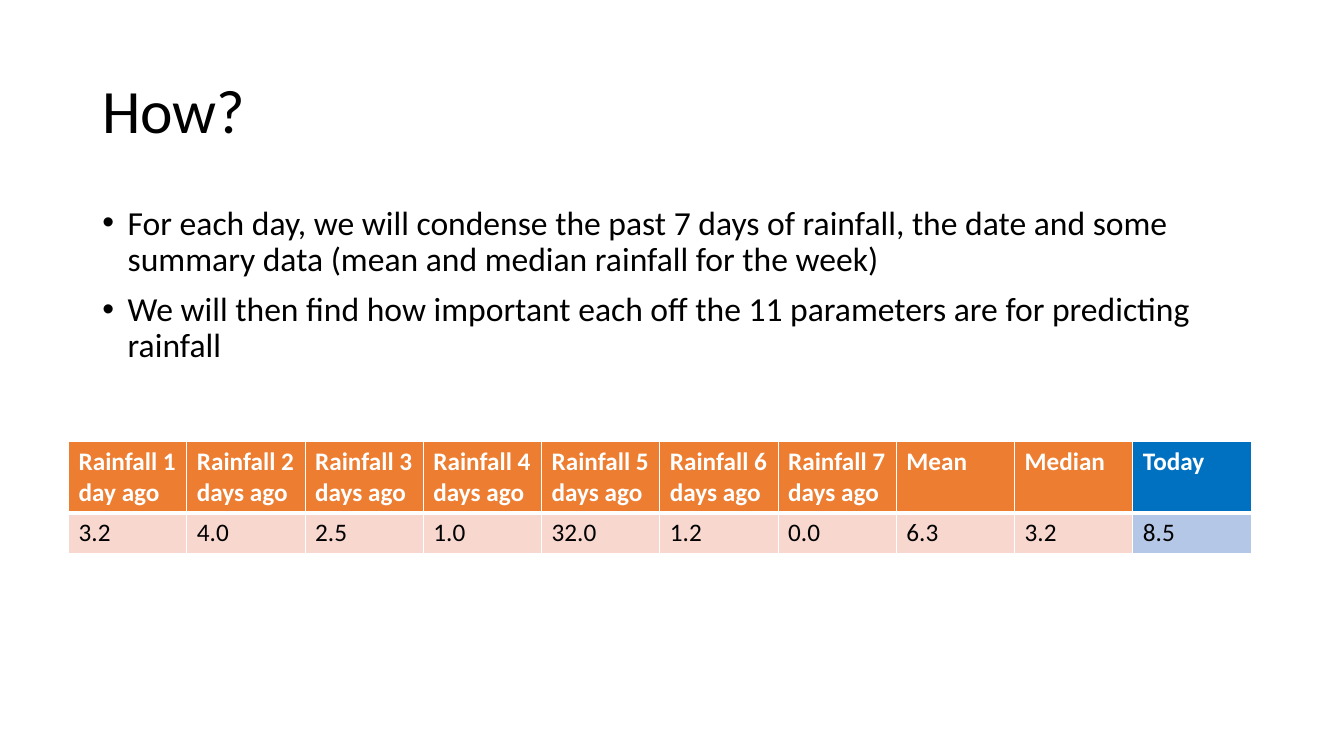
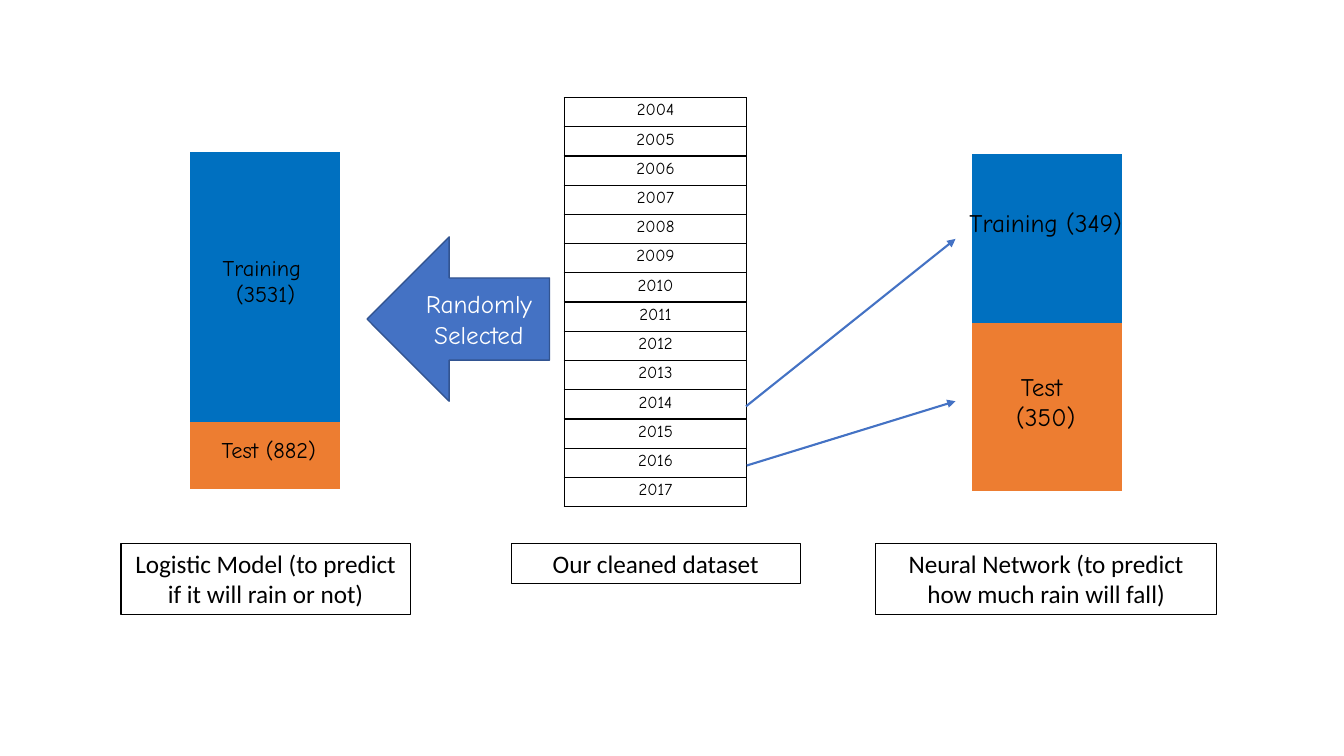
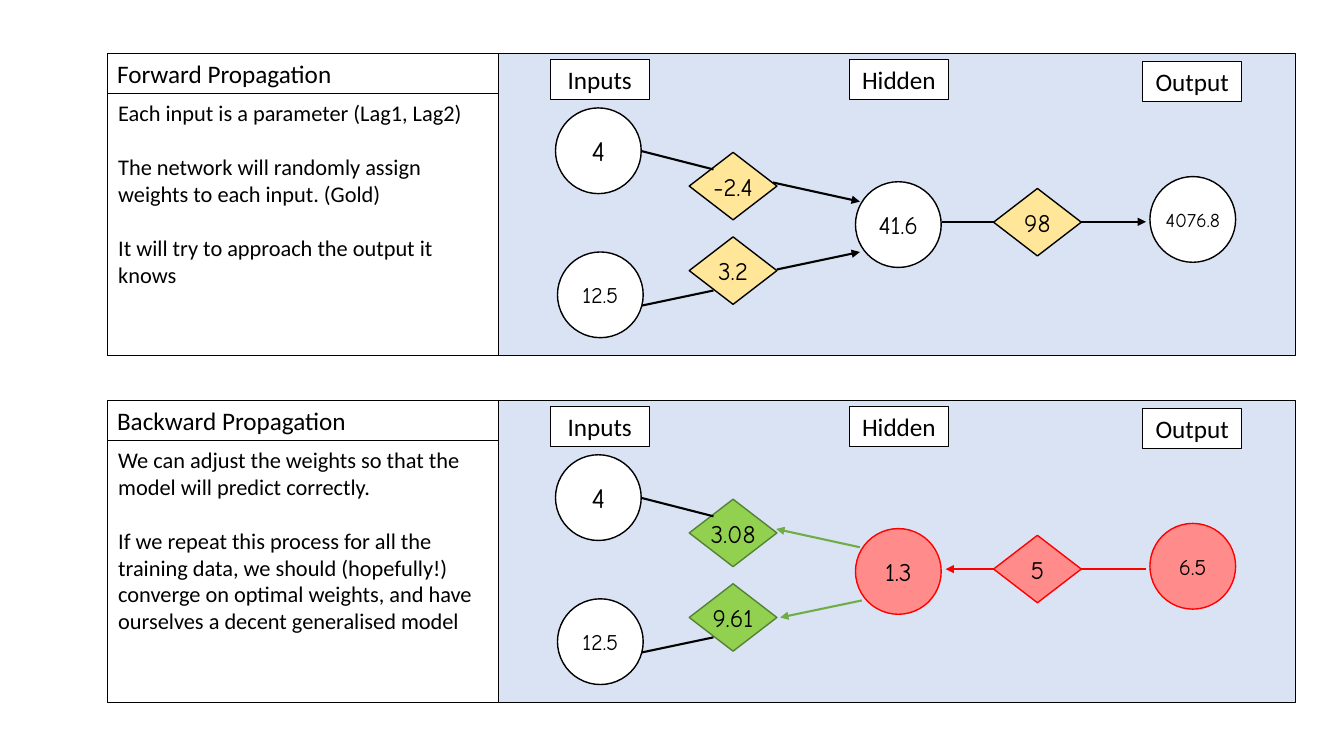
import pptx
import pptx.util
import pptx.dml.color
import pptx.enum.shapes
import pptx.enum.text
import pptx.oxml.ns
from lxml import etree

Cm, Pt = pptx.util.Cm, pptx.util.Pt
Shape = pptx.enum.shapes.MSO_SHAPE
Align = pptx.enum.text.PP_ALIGN
Anchor = pptx.enum.text.MSO_ANCHOR
qn = pptx.oxml.ns.qn


class Theme:
    body, hand = "Calibri", "Comic Neue"
    black, white = "000000", "FFFFFF"
    blue, pale_blue = "0070C0", "B4C7E7"
    orange, pale_orange = "ED7D31", "F8D7CE"
    arrow, arrow_edge = "4472C4", "325491"
    panel, gold = "DAE3F3", "FFE699"
    red, pale_red = "FF0000", "FF8B8B"
    green, green_edge, green_link = "92D050", "548235", "70AD47"
    title, bullet, large, normal, note, small, tiny = 44, 24, 20, 18, 16, 14, 12
    thin, edge, link = 0.75, 1, 1.5
    plain_table = "{2D5ABB26-0587-4C30-8999-92F81FD0307C}"


# Content: lengths are centimetres
TITLE = "How?"
BULLETS = [
    "For each day, we will condense the past 7 days of rainfall, the date and "
    "some summary data (mean and median rainfall for the week)",
    "We will then find how important each off the 11 parameters are for "
    "predicting rainfall",
]
RAIN_HEADS = [f"Rainfall {day} day{'s' if day > 1 else ''} ago" for day in range(1, 8)]
RAIN_HEADS += ["Mean", "Median", "Today"]
RAIN_VALUES = ["3.2", "4.0", "2.5", "1.0", "32.0", "1.2", "0.0", "6.3", "3.2", "8.5"]

YEARS = [str(year) for year in range(2004, 2018)]
SPLITS = [  # left, top, training rows out of ten
    (4.8, 3.84, 8),
    (24.49, 3.89, 5),
]
SPLIT_LABELS = [  # lines, left, top, size
    (["Training ", "(3531)"], 4.42, 6.27, Theme.note),
    (["Test (882)"], 4.5, 10.87, Theme.note),
    (["Training (349)"], 24.08, 5.11, Theme.normal),
    (["Test ", "(350)"], 24.08, 9.22, Theme.normal),
]
SPLIT_ARROWS = [(18.8, 10.24, 24.08, 6.02), (18.82, 11.73, 24.08, 10.11)]
CAPTIONS = [  # text, left, width, height
    ("Logistic Model (to predict if it will rain or not)", 3.05, 7.29, 1.8),
    ("Neural Network (to predict how much rain will fall)", 22.07, 8.59, 1.8),
    ("Our cleaned dataset", 12.88, 7.29, 1.02),
]

# Network geometry, measured down from the top of its panel
TAGS = [("Inputs", 13.87, 0.15), ("Hidden", 21.41, 0.15), ("Output", 28.8, 0.2)]
NODE_SPOTS = [(14, 1.37), (14.05, 5), (21.56, 3.23), (28.98, 3.1)]
WEIGHT_SPOTS = [(17.37, 2.49), (17.37, 4.62), (25.04, 3.4)]
INPUT_LINKS = [
    (16.18, 2.46, 17.98, 2.92, Theme.black, False),
    (16.18, 6.35, 17.98, 5.97, Theme.black, False),
]
WHITE_LOOK = (Theme.white, Theme.black)
GOLD_LOOK = (Theme.gold, Theme.black)
RED_LOOK = (Theme.pale_red, Theme.red)
GREEN_LOOK = (Theme.green, Theme.green_edge)
INPUT_NODES = [("4", Theme.large, WHITE_LOOK), ("12.5", Theme.note, WHITE_LOOK)]
PANELS = [
    {
        "top": 1.35,
        "heading": "Forward Propagation",
        "notes": [
            "Each input is a parameter (Lag1, Lag2)",
            "The network will randomly assign weights to each input. (Gold)",
            "It will try to approach the output it knows",
        ],
        "nodes": [("41.6", Theme.normal, WHITE_LOOK), ("4076.8", Theme.small, WHITE_LOOK)],
        "weights": [("-2.4", GOLD_LOOK), ("3.2", GOLD_LOOK), ("98", GOLD_LOOK)],
        "links": [
            (19.48, 3.25, 21.67, 3.73, Theme.black, True),
            (19.58, 5.44, 21.67, 5, Theme.black, True),
            (23.75, 4.24, 25.04, 4.24, Theme.black, False),
            (27.25, 4.24, 28.88, 4.24, Theme.black, True),
        ],
    },
    {
        "top": 10.09,
        "heading": "Backward Propagation",
        "notes": [
            "We can adjust the weights so that the model will predict correctly.",
            "If we repeat this process for all the training data, we should "
            "(hopefully!) converge on optimal weights, and have ourselves a "
            "decent generalised model",
        ],
        "nodes": [("1.3", Theme.normal, RED_LOOK), ("6.5", Theme.note, RED_LOOK)],
        "weights": [("3.08", GREEN_LOOK), ("9.61", GREEN_LOOK), ("5", RED_LOOK)],
        "links": [
            (21.67, 3.7, 19.56, 3.24, Theme.green_link, True),
            (21.72, 5.04, 19.66, 5.47, Theme.green_link, True),
            (27.25, 4.25, 28.88, 4.25, Theme.red, False),
            (25.04, 4.25, 23.83, 4.25, Theme.red, True),
        ],
    },
]


# Shared helpers
def rgb(color):
    return pptx.dml.color.RGBColor.from_string(color)


def write_text(frame, lines, size=Theme.normal, font=Theme.body, color=Theme.black,
               bold=False, align=Align.LEFT, anchor=Anchor.TOP, wrap=True,
               line_spacing=None, before=0, gap=0, bullet=False):
    """Fill a text frame; gap is the space between paragraphs in points."""
    frame.word_wrap = wrap
    frame.vertical_anchor = anchor
    for index, line in enumerate(lines):
        para = frame.add_paragraph() if index else frame.paragraphs[0]
        para.alignment = align
        para.space_before = Pt(before + (gap if index else 0))
        if line_spacing:
            para.line_spacing = line_spacing
        if bullet:
            props = para._p.get_or_add_pPr()
            props.set("marL", str(Cm(0.64)))
            props.set("indent", str(-Cm(0.64)))
            etree.SubElement(props, qn("a:buFont")).set("typeface", "Arial")
            etree.SubElement(props, qn("a:buChar")).set("char", "•")
        span = para.add_run()
        span.text = line
        span.font.name, span.font.size, span.font.bold = font, Pt(size), bold
        span.font.color.rgb = rgb(color)


def add_text(page, lines, left, top, width, height, **style):
    box = page.shapes.add_textbox(Cm(left), Cm(top), Cm(width), Cm(height))
    write_text(box.text_frame, lines, **style)


def add_shape(page, kind, left, top, width, height, fill=None,
              line=Theme.black, weight=Theme.thin):
    shape = page.shapes.add_shape(kind, Cm(left), Cm(top), Cm(width), Cm(height))
    shape.shadow.inherit = False
    if fill:
        shape.fill.solid()
        shape.fill.fore_color.rgb = rgb(fill)
    else:
        shape.fill.background()
    shape.line.color.rgb = rgb(line)
    shape.line.width = Pt(weight)
    return shape


def add_link(page, x1, y1, x2, y2, color, arrow):
    link = page.shapes.add_connector(
        pptx.enum.shapes.MSO_CONNECTOR.STRAIGHT, Cm(x1), Cm(y1), Cm(x2), Cm(y2))
    link.line.color.rgb = rgb(color)
    link.line.width = Pt(Theme.link)
    props = link.element.spPr
    if arrow:
        etree.SubElement(props.find(qn("a:ln")), qn("a:tailEnd")).set("type", "triangle")
    etree.SubElement(props, qn("a:effectLst"))


def add_table(page, rows, columns, left, top, width, height):
    frame = page.shapes.add_table(rows, columns, Cm(left), Cm(top), Cm(width), Cm(height))
    frame.table.first_row = frame.table.horz_banding = False
    next(frame.element.iter(qn("a:tableStyleId"))).text = Theme.plain_table
    return frame.table


def fill_cell(cell, color):
    cell.fill.solid()
    cell.fill.fore_color.rgb = rgb(color)


def set_borders(cell, color, left=1, right=1, top=1, bottom=1):
    props = cell._tc.get_or_add_tcPr()
    sides = [("lnL", left), ("lnR", right), ("lnT", top), ("lnB", bottom)]
    for index, (side, weight) in enumerate(sides):
        line = etree.Element(qn(f"a:{side}"), w=str(Pt(weight)))
        solid = etree.SubElement(line, qn("a:solidFill"))
        etree.SubElement(solid, qn("a:srgbClr")).set("val", color)
        props.insert(index, line)


# Slide 1: method and sample record
def build_method(page):
    add_text(page, [TITLE], 2.33, 1.01, 29.21, 3.68, size=Theme.title,
             anchor=Anchor.MIDDLE, line_spacing=0.9)
    add_text(page, BULLETS, 2.33, 5.07, 29.21, 12.09, size=Theme.bullet,
             line_spacing=0.9, before=10, bullet=True)
    last = len(RAIN_HEADS) - 1
    table = add_table(page, 2, last + 1, 1.73, 11.13, 29.8, 2.82)
    table.rows[0].height, table.rows[1].height = Cm(1.79), Cm(1.03)
    for column, pair in enumerate(zip(RAIN_HEADS, RAIN_VALUES)):
        fills = ((Theme.blue, Theme.pale_blue) if column == last
                 else (Theme.orange, Theme.pale_orange))
        for row, (text, fill) in enumerate(zip(pair, fills)):
            cell, head = table.cell(row, column), row == 0
            write_text(cell.text_frame, [text], bold=head,
                       color=Theme.white if head else Theme.black)
            fill_cell(cell, fill)
            set_borders(cell, Theme.white, top=1 if head else 3, bottom=3 if head else 1)


# Slide 2: how the data is split
def build_split(page):
    for left, top, training in SPLITS:
        table = add_table(page, 10, 1, left, top, 3.78, 8.48)
        for row in range(10):
            cell = table.cell(row, 0)
            cell.margin_top = cell.margin_bottom = 0
            fill_cell(cell, Theme.blue if row < training else Theme.orange)
    for lines, left, top, size in SPLIT_LABELS:
        add_text(page, lines, left, top, 4.55, 0.8 * len(lines), size=size,
                 font=Theme.hand, align=Align.CENTER)

    table = add_table(page, len(YEARS), 1, 14.22, 2.46, 4.6, 10.31)
    for row, year in enumerate(YEARS):
        cell = table.cell(row, 0)
        cell.margin_left = cell.margin_right = Cm(0.18)
        cell.margin_top = cell.margin_bottom = Cm(0.08)
        write_text(cell.text_frame, [year], size=Theme.tiny, font=Theme.hand,
                   align=Align.CENTER)
        set_borders(cell, Theme.black)

    for ends in SPLIT_ARROWS:
        add_link(page, *ends, Theme.arrow, True)
    arrow = add_shape(page, Shape.LEFT_ARROW, 9.25, 5.97, 4.6, 4.14,
                      Theme.arrow, Theme.arrow_edge, Theme.edge)
    write_text(arrow.text_frame, ["Randomly Selected"], font=Theme.hand,
               color=Theme.white, align=Align.CENTER, anchor=Anchor.MIDDLE)
    for text, left, width, height in CAPTIONS:
        caption = add_shape(page, Shape.RECTANGLE, left, 13.69, width, height)
        write_text(caption.text_frame, [text], align=Align.CENTER)


# Slide 3: one panel for each direction of propagation
def add_mark(page, kind, text, size, look, left, top, width, height):
    mark = add_shape(page, kind, left, top, width, height, *look, Theme.edge)
    write_text(mark.text_frame, [text], size=size, font=Theme.hand,
               align=Align.CENTER, anchor=Anchor.MIDDLE, wrap=False)


def build_panel(page, panel):
    top = panel["top"]
    add_shape(page, Shape.RECTANGLE, 2.7, top, 9.87, 7.62)
    add_shape(page, Shape.RECTANGLE, 12.57, top, 20.09, 7.62, Theme.panel)
    heading = add_shape(page, Shape.RECTANGLE, 2.7, top, 9.87, 1.02)
    write_text(heading.text_frame, [panel["heading"]])
    add_text(page, panel["notes"], 2.73, top + 1.02, 9.84, 5.05, size=Theme.note, gap=19.5)

    for text, left, drop in TAGS:
        tag = add_shape(page, Shape.RECTANGLE, left, top + drop, 2.49, 1.02, Theme.white)
        write_text(tag.text_frame, [text], align=Align.CENTER, wrap=False)
    for (text, size, look), (left, drop) in zip(INPUT_NODES + panel["nodes"], NODE_SPOTS):
        add_mark(page, Shape.OVAL, text, size, look, left, top + drop, 2.16, 2.16)
    for (text, look), (left, drop) in zip(panel["weights"], WEIGHT_SPOTS):
        add_mark(page, Shape.FLOWCHART_DECISION, text, Theme.normal, look,
                 left, top + drop, 2.21, 1.7)
    for x1, y1, x2, y2, color, arrow in INPUT_LINKS + panel["links"]:
        add_link(page, x1, top + y1, x2, top + y2, color, arrow)


def build_network(page):
    for panel in PANELS:
        build_panel(page, panel)


def main():
    deck = pptx.Presentation()
    deck.slide_width, deck.slide_height = Cm(33.87), Cm(19.05)
    for build in (build_method, build_split, build_network):
        build(deck.slides.add_slide(deck.slide_layouts[6]))
    deck.save("out.pptx")


if __name__ == "__main__":
    main()
